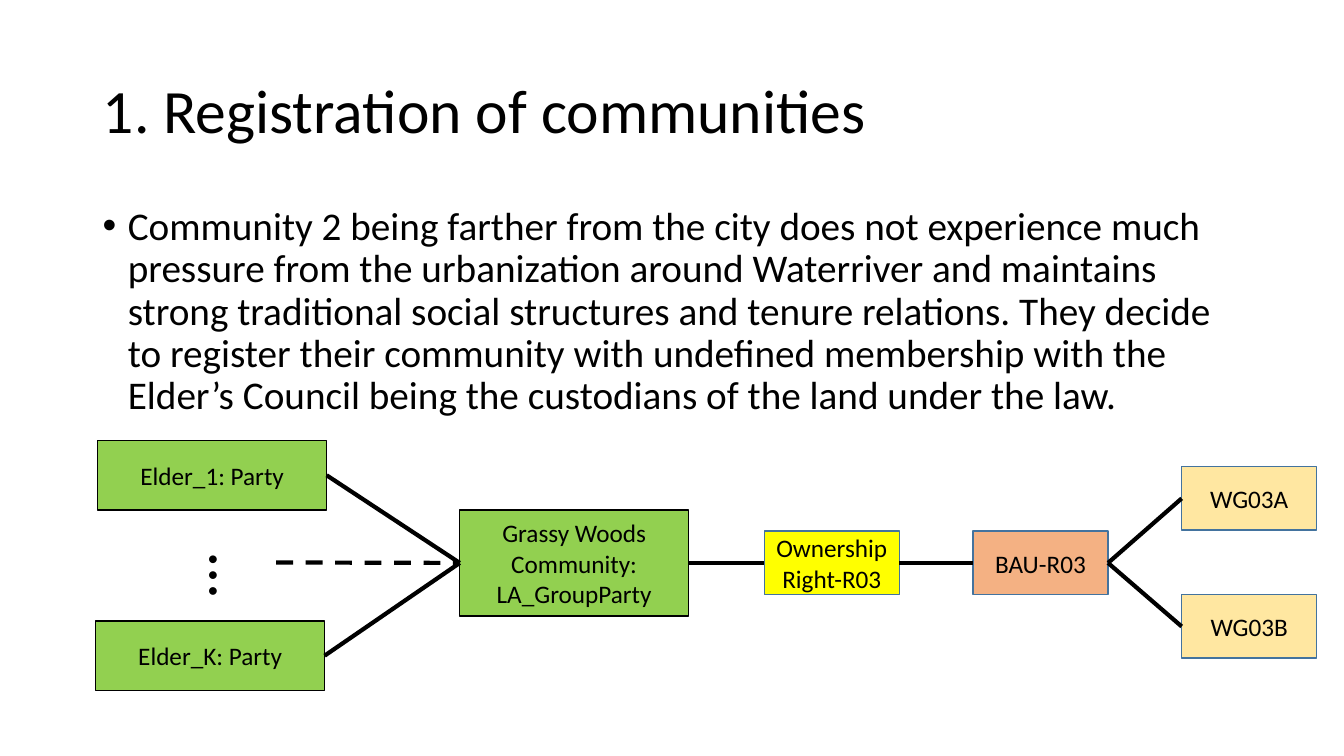
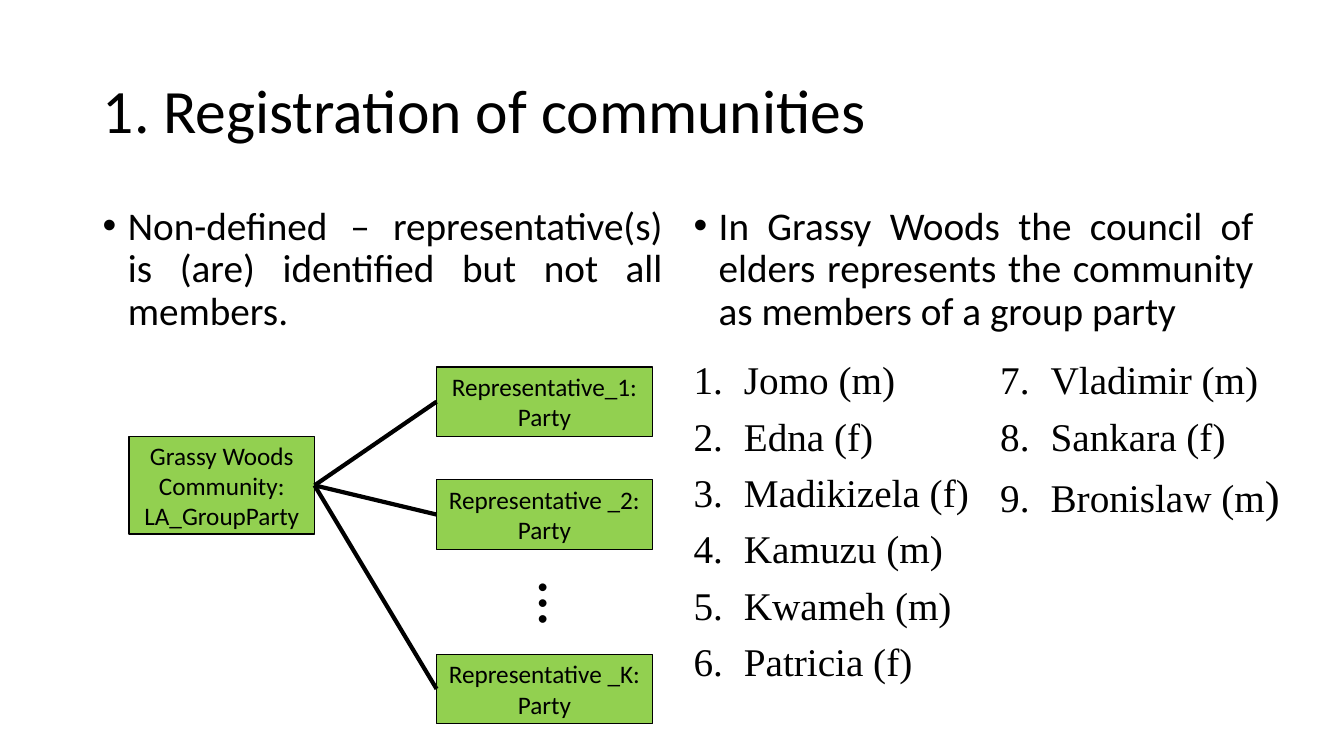
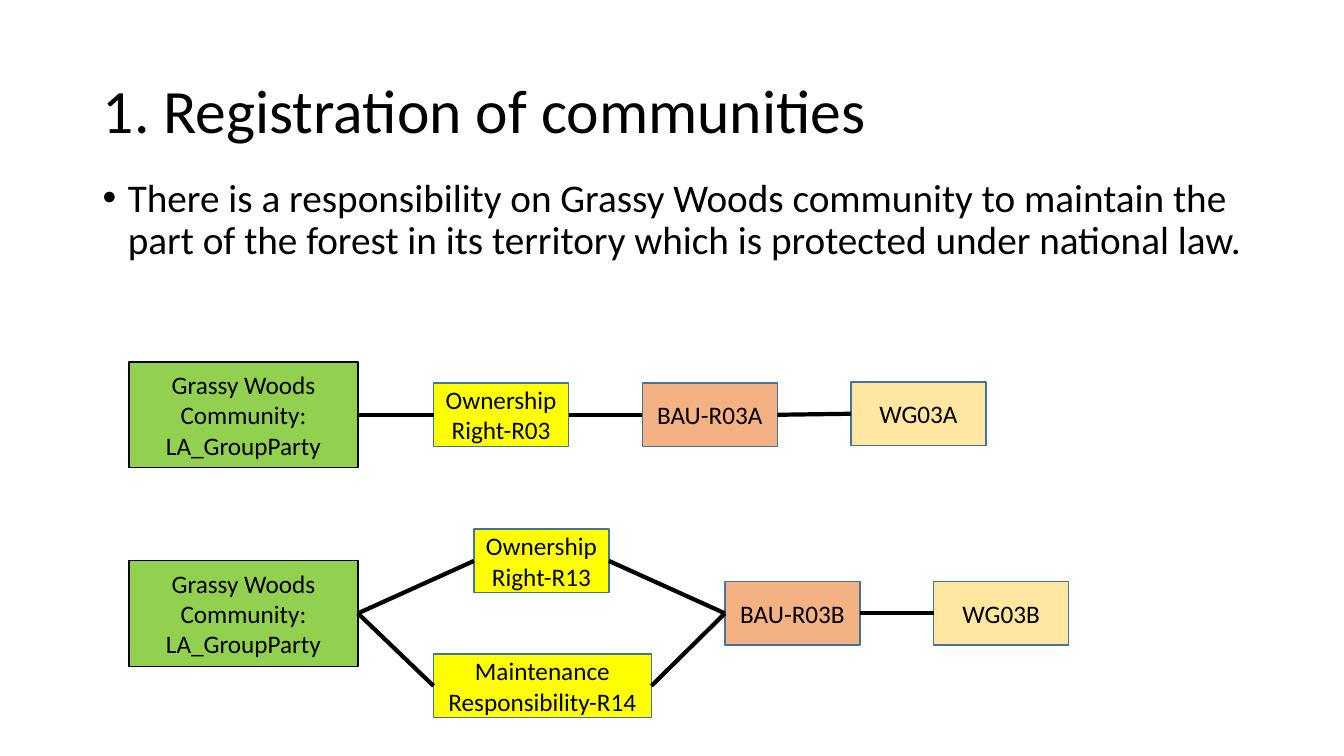
import dataclasses

import pptx
import pptx.dml.color
import pptx.enum.dml
import pptx.enum.shapes
import pptx.enum.text
import pptx.oxml
import pptx.oxml.ns
import pptx.util

ALIGN = pptx.enum.text.PP_ALIGN
ANCHOR = pptx.enum.text.MSO_ANCHOR
AUTO_SIZE = pptx.enum.text.MSO_AUTO_SIZE
PX = 9144


@dataclasses.dataclass(frozen=True)
class Theme:
    font: str = "Calibri"
    list_font: str = "Times New Roman"
    dots_font: str = "Lato"
    ink: str = "000000"
    edge: str = "43739E"
    green: str = "92D050"
    yellow: str = "FFFF00"
    orange: str = "F4B183"
    sand: str = "FFD966"
    sand_alpha: int = 61
    title_size: int = 44
    body_size: int = 28
    large_size: int = 32
    box_size: int = 18
    dots_size: int = 44
    box_line: int = 1
    link_line: int = 3
    line_spacing: float = 0.9
    space_before: int = 10


THEME = Theme()
SLIDE_SIZE = (1333, 750)
TITLE = "1. Registration of communities"
TITLE_AREA = (92, 40, 1150, 145)
COMMUNITY = "Grassy Woods Community: LA_GroupParty"

KINDS = {
    "group": (227, 105, THEME.green, THEME.ink),
    "small group": (184, 97, THEME.green, THEME.ink),
    "elder": (227, 69, THEME.green, THEME.ink),
    "representative": (214, 69, THEME.green, THEME.ink),
    "right": (134, 63, THEME.yellow, THEME.edge),
    "responsibility": (216, 63, THEME.yellow, THEME.edge),
    "unit": (134, 63, THEME.orange, THEME.edge),
    "parcel": (134, 63, THEME.sand, THEME.edge),
    "dots": (94, 40, None, None),
}

ELDERS = [
    "Jomo (m)", "Edna (f)", "Madikizela (f)", "Kamuzu (m)", "Kwameh (m)",
    "Patricia (f)", "Vladimir (m)", "Sankara (f)", "Bronislaw (m",
]
ELDERS_AREA = (678, 353, 628, 375)
ELDERS_CLOSING = ")"

# nodes: key -> (kind, left, middle, text)
SLIDES = [
    {
        "bullets": [
            ((92, 200, 1150, 476), ALIGN.LEFT,
             "Community 2 being farther from the city does not experience much pressure "
             "from the urbanization around Waterriver and maintains strong traditional "
             "social structures and tenure relations. They decide to register their "
             "community with undefined membership with the Elder’s Council being the "
             "custodians of the land under the law."),
        ],
        "nodes": {
            "community": ("group", 456, 558, COMMUNITY),
            "first elder": ("elder", 97, 471, "Elder_1: Party"),
            "more elders": ("dots", 180, 558, "…"),
            "last elder": ("elder", 95, 650, "Elder_K: Party"),
            "ownership": ("right", 758, 558, "Ownership Right-R03"),
            "unit": ("unit", 965, 558, "BAU-R03"),
            "parcel a": ("parcel", 1172, 494, "WG03A"),
            "parcel b": ("parcel", 1172, 621, "WG03B"),
        },
        "links": [
            ("first elder", "community"), ("more elders", "community"),
            ("last elder", "community"), ("community", "ownership"),
            ("ownership", "unit"), ("unit", "parcel a"), ("unit", "parcel b"),
        ],
    },
    {
        "bullets": [
            ((92, 200, 575, 519), ALIGN.JUSTIFY,
             "Non-defined – representative(s) is (are) identified but not all members."),
            ((678, 200, 575, 519), ALIGN.JUSTIFY,
             "In Grassy Woods the council of elders represents the community as members "
             "of a group party"),
        ],
        "elders": ELDERS,
        "nodes": {
            "community": ("small group", 128, 481, COMMUNITY),
            "first": ("representative", 433, 398, "Representative_1: Party"),
            "second": ("representative", 433, 510, "Representative _2: Party"),
            "more": ("dots", 507, 586, "…"),
            "last": ("representative", 433, 683, "Representative _K: Party"),
        },
        "links": [("community", "first"), ("community", "second"), ("community", "last")],
    },
    {
        "bullets": [
            ((92, 172, 1150, 476), ALIGN.LEFT,
             "There is a responsibility on Grassy Woods community to maintain the part of "
             "the forest in its territory which is protected under national law."),
        ],
        "nodes": {
            "community a": ("group", 128, 411, COMMUNITY),
            "ownership a": ("right", 430, 411, "Ownership Right-R03"),
            "unit a": ("unit", 637, 411, "BAU-R03A"),
            "parcel a": ("parcel", 844, 410, "WG03A"),
            "community b": ("group", 128, 608, COMMUNITY),
            "ownership b": ("right", 470, 556, "Ownership Right-R13"),
            "maintenance": ("responsibility", 430, 680, "Maintenance Responsibility-R14"),
            "unit b": ("unit", 719, 608, "BAU-R03B"),
            "parcel b": ("parcel", 926, 608, "WG03B"),
        },
        "links": [
            ("community a", "ownership a"), ("ownership a", "unit a"),
            ("unit a", "parcel a"), ("community b", "ownership b"),
            ("community b", "maintenance"), ("ownership b", "unit b"),
            ("maintenance", "unit b"), ("unit b", "parcel b"),
        ],
    },
]


def emu(lengths):
    return [length * PX for length in lengths]


def rgb(color):
    return pptx.dml.color.RGBColor.from_string(color)


def add_element(parent, tag, **attributes):
    element = pptx.oxml.parse_xml(f'<{tag} {pptx.oxml.ns.nsdecls("a")}/>')
    for name, value in attributes.items():
        element.set(name, value)
    parent.append(element)
    return element


def style(font, size, name=THEME.font):
    font.size = pptx.util.Pt(size)
    font.name = name
    font.color.rgb = rgb(THEME.ink)


def set_indent(paragraph, hanging):
    properties = paragraph._p.get_or_add_pPr()
    properties.set("marL", str(hanging * PX))
    properties.set("indent", str(-hanging * PX))
    return properties


def add_text_box(slide, area):
    box = slide.shapes.add_textbox(*emu(area))
    box.text_frame.word_wrap = True
    return box


def add_title(slide):
    title = slide.shapes.title
    title.left, title.top, title.width, title.height = emu(TITLE_AREA)
    frame = title.text_frame
    frame.text = TITLE
    frame.auto_size = AUTO_SIZE.NONE
    frame.vertical_anchor = ANCHOR.MIDDLE
    paragraph = frame.paragraphs[0]
    paragraph.alignment = ALIGN.LEFT
    paragraph.line_spacing = THEME.line_spacing
    style(paragraph.font, THEME.title_size)


def add_bullet(slide, area, alignment, text):
    frame = add_text_box(slide, area).text_frame
    frame.text = text
    paragraph = frame.paragraphs[0]
    paragraph.alignment = alignment
    paragraph.line_spacing = THEME.line_spacing
    properties = set_indent(paragraph, 25)
    add_element(properties, "a:buFont", typeface="Arial")
    add_element(properties, "a:buChar", char="•")
    style(paragraph.font, THEME.body_size)


def add_elders(slide, elders):
    frame = add_text_box(slide, ELDERS_AREA).text_frame
    frame._txBody.bodyPr.set("numCol", "2")
    frame.text = "\n".join(elders)
    for index, paragraph in enumerate(frame.paragraphs):
        paragraph.line_spacing = THEME.line_spacing
        if index:
            paragraph.space_before = pptx.util.Pt(THEME.space_before)
        properties = set_indent(paragraph, 50)
        add_element(properties, "a:buFont", typeface="+mj-lt")
        add_element(properties, "a:buAutoNum", type="arabicPeriod")
        style(paragraph.font, THEME.body_size, THEME.list_font)
    closing = frame.paragraphs[-1].add_run()
    closing.text = ELDERS_CLOSING
    closing.font.size = pptx.util.Pt(THEME.large_size)


def add_dots(slide, area, text):
    frame = add_text_box(slide, area).text_frame
    frame.auto_size = AUTO_SIZE.SHAPE_TO_FIT_TEXT
    frame._txBody.bodyPr.set("vert", "vert")
    frame.text = text
    style(frame.paragraphs[0].font, THEME.dots_size, THEME.dots_font)


def add_box(slide, area, text, fill, edge):
    rectangle = pptx.enum.shapes.MSO_SHAPE.RECTANGLE
    box = slide.shapes.add_shape(rectangle, *emu(area))
    box.shadow.inherit = False
    box.fill.solid()
    box.fill.fore_color.rgb = rgb(fill)
    if fill == THEME.sand:
        color = box._element.spPr.find(".//" + pptx.oxml.ns.qn("a:srgbClr"))
        add_element(color, "a:alpha", val=str(THEME.sand_alpha * 1000))
    box.line.color.rgb = rgb(edge)
    box.line.width = pptx.util.Pt(THEME.box_line)
    frame = box.text_frame
    frame.text = text
    frame.word_wrap = True
    frame.vertical_anchor = ANCHOR.MIDDLE
    paragraph = frame.paragraphs[0]
    paragraph.alignment = ALIGN.CENTER
    style(paragraph.font, THEME.box_size)
    return box


def add_link(slide, source, target, boxes):
    source_kind, source_left, source_middle, _ = source
    _, target_left, target_middle, _ = target
    start = (source_left + KINDS[source_kind][0], source_middle)
    straight = pptx.enum.shapes.MSO_CONNECTOR.STRAIGHT
    link = slide.shapes.add_connector(straight, *emu(start + (target_left, target_middle)))
    link.line.color.rgb = rgb(THEME.ink)
    link.line.width = pptx.util.Pt(THEME.link_line)
    if source in boxes:
        link.begin_connect(boxes[source], 3)
    else:
        link.line.dash_style = pptx.enum.dml.MSO_LINE.DASH
    link.end_connect(boxes[target], 1)
    add_element(link._element.spPr, "a:effectLst")


def add_diagram(slide, nodes, links):
    boxes = {}
    for node in nodes.values():
        kind, left, middle, text = node
        width, height, fill, edge = KINDS[kind]
        area = (left, middle - height // 2, width, height)
        if kind == "dots":
            add_dots(slide, area, text)
        else:
            boxes[node] = add_box(slide, area, text, fill, edge)
    for source, target in links:
        add_link(slide, nodes[source], nodes[target], boxes)


def main():
    presentation = pptx.Presentation()
    presentation.slide_width, presentation.slide_height = emu(SLIDE_SIZE)
    for content in SLIDES:
        slide = presentation.slides.add_slide(presentation.slide_layouts[5])
        add_title(slide)
        for bullet in content["bullets"]:
            add_bullet(slide, *bullet)
        if "elders" in content:
            add_elders(slide, content["elders"])
        add_diagram(slide, content["nodes"], content["links"])
    presentation.save("out.pptx")


if __name__ == "__main__":
    main()
